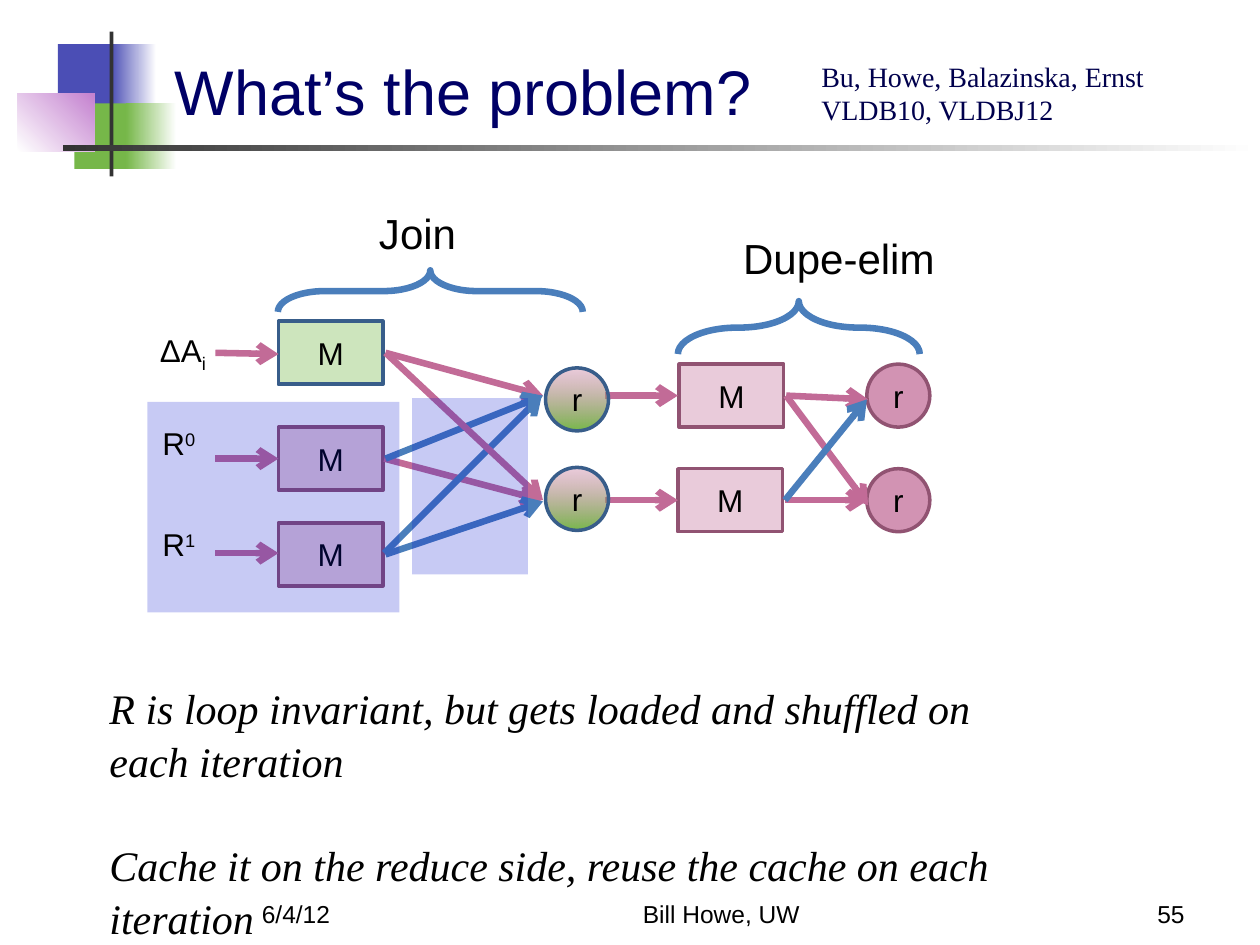
import pptx
import pptx.util
import pptx.dml.color
import pptx.enum.shapes
import pptx.enum.text
import pptx.oxml.ns
import lxml.etree

prs = pptx.Presentation()
prs.slide_width = pptx.util.Inches(10)
prs.slide_height = pptx.util.Inches(7.5)
COL = prs.slide_width / 100
ROW = prs.slide_height / 75
s = prs.slides.add_slide(prs.slide_layouts[6])
qn = pptx.oxml.ns.qn
RGB = pptx.dml.color.RGBColor.from_string
MSO = pptx.enum.shapes.MSO_SHAPE
ALIGN = pptx.enum.text.PP_ALIGN
ANCHOR = pptx.enum.text.MSO_ANCHOR
C = {
    "indigo": "4B4EB5", "green": "76B749", "orchid": "C481CF", "white": "FFFFFF",
    "dark": "333333", "title": "000066", "cite": "00004D", "black": "000000",
    "rose": "C4709A", "rose_edge": "915372", "blue_edge": "385D8A",
    "rose_arrow": "C26B97", "blue_arrow": "4A7EBB", "cache": "0011CF",
}


def add_text(tf, paras, size, color="black", align=ALIGN.LEFT, anchor=ANCHOR.TOP,
             font="Arial", italic=False):
    tf.word_wrap = True
    tf.vertical_anchor = anchor
    for i, text in enumerate(paras):
        p = tf.paragraphs[0] if i == 0 else tf.add_paragraph()
        p.add_run().text = text
        p.alignment = align
        p.font.size = pptx.util.Pt(size)
        p.font.name = font
        p.font.italic = italic
        p.font.color.rgb = RGB(C[color])


def add_shape(kind, x, y, w, h, fills=(), angle=0, edge=None, width=2, label=None):
    sp = s.shapes.add_shape(kind, int(x * COL), int(y * ROW), int(w * COL), int(h * ROW))
    sp.shadow.inherit = False
    targets = []
    if len(fills) == 2:
        sp.fill.gradient()
        sp.fill.gradient_angle = angle
        targets = [stop.color for stop in sp.fill.gradient_stops]
    elif fills:
        sp.fill.solid()
        targets = [sp.fill.fore_color]
    else:
        sp.fill.background()
    for target, (name, _) in zip(targets, fills):
        target.rgb = RGB(C[name])
    colors = sp._element.spPr.findall(".//" + qn("a:srgbClr"))
    for clr, (_, alpha) in zip(colors, fills):
        if alpha < 100:
            lxml.etree.SubElement(clr, qn("a:alpha")).set("val", str(alpha * 1000))
    if edge:
        sp.line.color.rgb = RGB(C[edge])
        sp.line.width = pptx.util.Pt(width)
    else:
        sp.line.fill.background()
    if label:
        add_text(sp.text_frame, [label], 18, align=ALIGN.CENTER, anchor=ANCHOR.MIDDLE)
    return sp


for x, y, w, h, names, angle in [
    (4.6, 3.5, 4.8, 5.2, ["indigo"], 0),
    (8.8, 3.5, 3.6, 5.2, ["indigo", "white"], 0),
    (5.9, 8.2, 4.6, 5.2, ["green"], 0),
    (10, 8.2, 4, 5.2, ["green", "white"], 0),
    (1.4, 7.4, 6.1, 4.6, ["white", "orchid"], 45),
    (8.7, 2.5, 0.3, 11.5, ["dark"], 0),
    (5, 11.5, 95, 0.5, ["dark", "white"], 0),
]:
    add_shape(MSO.RECTANGLE, x, y, w, h, [(n, 100) for n in names], angle)

BOX_W, NODE = 8.3, 5
for x, y, fill, edge in [
    (22.1, 25.5, "green", "blue_edge"),
    (22.1, 33.9, "rose", "rose_edge"),
    (22.1, 41.5, "rose", "rose_edge"),
    (53.9, 28.9, "rose", "rose_edge"),
    (53.8, 37.2, "rose", "rose_edge"),
]:
    add_shape(MSO.FLOWCHART_PROCESS, x, y, BOX_W, NODE, [(fill, 36)], edge=edge, label="M")
for y in (28.9, 37.2):
    add_shape(MSO.FLOWCHART_CONNECTOR, 68.8, y, NODE, NODE, [("rose", 75)],
              edge="rose_edge", label="r")

for x1, y1, x2, y2, color in [
    (30.6, 28, 43.1, 31.4, "rose_arrow"),
    (30.5, 36.4, 43, 39.7, "rose_arrow"),
    (30.5, 43.9, 43, 31.4, "blue_arrow"),
    (30.6, 36.4, 43.1, 31.4, "blue_arrow"),
    (30.6, 28, 43.1, 39.7, "rose_arrow"),
    (30.6, 44, 43.1, 39.8, "blue_arrow"),
    (17.1, 28, 22.1, 28.1, "rose_arrow"),
    (17.1, 36.4, 22.1, 36.4, "rose_arrow"),
    (17.1, 43.9, 22.1, 43.9, "rose_arrow"),
    (48, 31.4, 53.8, 31.4, "rose_arrow"),
    (48, 39.7, 53.8, 39.7, "rose_arrow"),
    (62.4, 31.4, 68.9, 31.7, "rose_arrow"),
    (62.3, 39.7, 68.9, 39.7, "rose_arrow"),
    (62.4, 31.4, 68.9, 40.1, "rose_arrow"),
    (62.3, 39.7, 68.8, 31.7, "blue_arrow"),
]:
    cn = s.shapes.add_connector(pptx.enum.shapes.MSO_CONNECTOR.STRAIGHT, int(x1 * COL),
                                int(y1 * ROW), int(x2 * COL), int(y2 * ROW))
    cn.line.color.rgb = RGB(C[color])
    cn.line.width = pptx.util.Pt(3.75)
    lxml.etree.SubElement(cn.line._get_or_add_ln(), qn("a:tailEnd")).set("type", "arrow")
    lxml.etree.SubElement(cn._element.spPr, qn("a:effectLst"))

for x, y, w, h in [(32.5, 11, 3.3, 24.2), (61.3, 16.4, 4.2, 19.2)]:
    sp = add_shape(MSO.RIGHT_BRACE, x, y, w, h, edge="blue_arrow", width=3.75)
    sp.rotation = 270
    sp.adjustments[0] = 1.125
    sp.adjustments[1] = 0.5

for y in (37.1, 29.2):
    add_shape(MSO.FLOWCHART_CONNECTOR, 43.3, y, NODE, NODE, [("rose", 35), ("green", 100)],
              270, "blue_edge", label="r")
for x, y, w, h in [(11.7, 31.9, 20, 16.7), (32.7, 31.6, 9.2, 14)]:
    add_shape(MSO.RECTANGLE, x, y, w, h, [("cache", 22)])

SERIF = "Times New Roman"
for x, y, w, h, paras, size, style in [
    (12.9, 4.3, 85.9, 5.8, ["What’s the problem?"], 36,
     {"color": "title", "anchor": ANCHOR.MIDDLE}),
    (19.8, 69.2, 20.8, 5, ["6/4/12"], 14, {"anchor": ANCHOR.BOTTOM}),
    (41.4, 69.2, 31.7, 5, ["Bill Howe, UW"], 14,
     {"anchor": ANCHOR.BOTTOM, "align": ALIGN.CENTER}),
    (74.2, 69.2, 20.8, 5, ["55"], 14, {"anchor": ANCHOR.BOTTOM, "align": ALIGN.RIGHT}),
    (29.1, 16, 10.7, 5, ["Join"], 24, {}),
    (58, 18, 18.3, 5, ["Dupe-elim"], 24, {}),
    (64.2, 4.2, 31.7, 6.4, ["Bu, Howe, Balazinska, Ernst VLDB10, VLDBJ12"], 16,
     {"color": "cite", "font": SERIF}),
    (7.7, 53.5, 75.2, 10.1,
     ["R is loop invariant, but gets loaded and shuffled on each iteration",
      "Cache it on the reduce side, reuse the cache on each iteration"], 24,
     {"font": SERIF, "italic": True}),
]:
    tb = s.shapes.add_textbox(int(x * COL), int(y * ROW), int(w * COL), int(h * ROW))
    add_text(tb.text_frame, paras, size, **style)
    for p in tb.text_frame.paragraphs[1:]:
        p.space_before = pptx.util.Pt(29)
    if len(paras) > 1:
        for p in tb.text_frame.paragraphs:
            p.line_spacing = 1.05

for x, y, w, base, script, shift in [
    (11.7, 25.8, 5.9, "ΔA", "i", -25000),
    (11.9, 41.2, 11.8, "R", "1", 30000),
    (11.9, 33.2, 12.7, "R", "0", 30000),
]:
    tb = s.shapes.add_textbox(int(x * COL), int(y * ROW), int(w * COL), int(4 * ROW))
    add_text(tb.text_frame, [base], 18)
    r = tb.text_frame.paragraphs[0].add_run()
    r.text = script
    r._r.get_or_add_rPr().set("baseline", str(shift))

prs.save("out.pptx")
